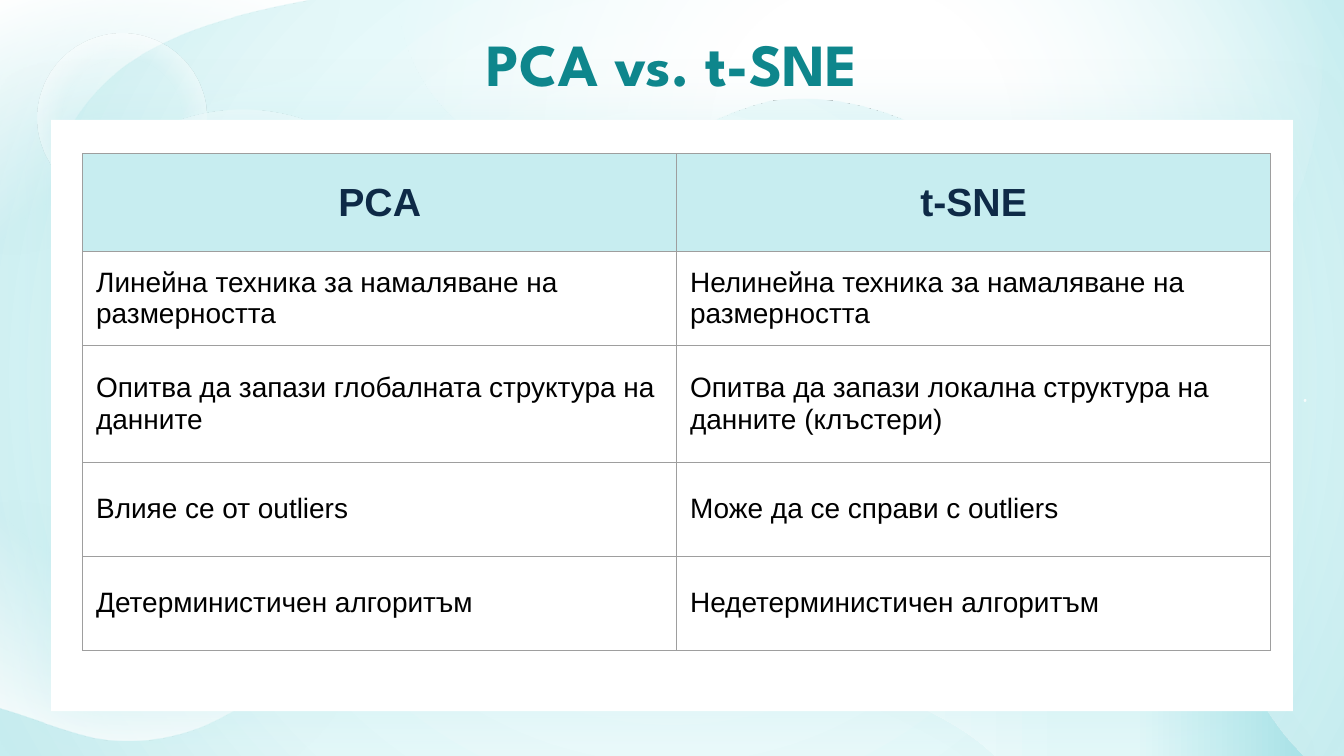
"""Build a slide comparing PCA and t-SNE in a two-column table."""
import pptx
import pptx.dml.color
import pptx.enum.shapes
import pptx.enum.text
import pptx.oxml
import pptx.oxml.ns
import pptx.util

Pt = pptx.util.Pt
ALIGN = pptx.enum.text.PP_ALIGN
SHAPES = pptx.enum.shapes.MSO_SHAPE
NAMESPACE = pptx.oxml.ns.nsdecls("a")

TITLE = "PCA vs. t-SNE"
ROWS = [
    ("PCA", "t-SNE"),
    ("Линейна техника за намаляване на размерността",
     "Нелинейна техника за намаляване на размерността"),
    ("Опитва да запази глобалната структура на данните",
     "Опитва да запази локална структура на данните (клъстери)"),
    ("Влияе се от outliers", "Може да се справи с outliers"),
    ("Детерминистичен алгоритъм", "Недетерминистичен алгоритъм"),
]
ROW_HEIGHTS = [52.2, 50.4, 62.6, 50.4, 50.4]
COLUMN_WIDTH = 318.2
WHITE, PALE, AQUA, DEEP = "FFFFFF", "E4F8F9", "C7EDF0", "AAE3E8"

BACKGROUND_STOPS = [(0, WHITE, 100), (65, PALE, 100), (100, AQUA, 100)]
BLOB_STOPS = [(0, WHITE, 100), (59, PALE, 100), (70, PALE, 100), (100, DEEP, 100)]
GLOW_STOPS = [(0, WHITE, 100), (31, WHITE, 100), (100, WHITE, 0)]
BUBBLE_STOPS = [(0, WHITE, 0), (50, WHITE, 0), (100, WHITE, 100)]

BLOB = [(533, 405),
        (503, 375), (452, 369), (425, 335), (415, 323), (409, 310), (405, 295),
        (397, 276), (397, 255), (404, 235), (416, 200), (459, 171), (501, 170),
        (503, 169), (503, 169), (505, 169), (562, 169), (619, 209), (640, 264),
        (647, 284), (650, 305), (655, 325), (663, 355), (677, 385), (698, 405)]
TOP_WAVE = [(213, 0),
            (215, 24), (225, 46), (242, 62), (259, 78), (284, 88), (308, 88),
            (316, 88), (323, 87), (330, 85), (359, 79), (384, 60), (413, 54),
            (419, 53), (426, 53), (432, 53), (459, 53), (487, 63), (512, 78),
            (542, 95), (569, 117), (600, 132), (613, 138), (628, 143), (643, 143),
            (652, 143), (661, 141), (669, 137), (683, 129), (691, 113), (697, 99),
            (708, 67), (710, 34), (708, 0)]
LEFT_WAVE = [(0, 379),
             (17, 384), (33, 391), (50, 395), (94, 404), (141, 379), (158, 347),
             (163, 339), (165, 330), (165, 322), (165, 287), (136, 251), (110, 228),
             (80, 200), (43, 174), (30, 138), (27, 129), (26, 120), (26, 112),
             (26, 84), (40, 57), (65, 37), (91, 17), (129, 7), (166, 0)]
BUBBLES = [(31, 59, 198), (20.2, 18, 90.7)]


def color(value):
    return pptx.dml.color.RGBColor.from_string(value)


def set_gradient(owner, element, stops, radial=True):
    owner.fill.solid()
    owner.fill.fore_color.rgb = color(WHITE)
    solid = element.xpath(".//a:solidFill")[0]
    stop_xml = "".join(
        f'<a:gs pos="{position * 1000}"><a:srgbClr val="{value}">'
        f'<a:alpha val="{opacity * 1000}"/></a:srgbClr></a:gs>'
        for position, value, opacity in stops)
    direction = ('<a:path path="circle"><a:fillToRect l="50000" t="50000" '
                 'r="50000" b="50000"/></a:path>' if radial else '<a:lin ang="0"/>')
    solid.getparent().replace(solid, pptx.oxml.parse_xml(
        f'<a:gradFill {NAMESPACE} rotWithShape="1"><a:gsLst>{stop_xml}</a:gsLst>'
        f'{direction}</a:gradFill>'))


def add_shadow(shape, value, opacity, blur, distance=0, angle=0):
    effects = shape._element.spPr.find(pptx.oxml.ns.qn("a:effectLst"))
    effects.append(pptx.oxml.parse_xml(
        f'<a:outerShdw {NAMESPACE} blurRad="{Pt(blur)}" dist="{Pt(distance)}" '
        f'dir="{angle * 60000}" algn="bl" rotWithShape="0"><a:srgbClr val="{value}">'
        f'<a:alpha val="{opacity * 1000}"/></a:srgbClr></a:outerShdw>'))


def bend_segments(shape, curve_count):
    lines = shape._element.xpath(".//a:lnTo")
    for start in range(0, curve_count * 3, 3):
        curve = pptx.oxml.parse_xml(f"<a:cubicBezTo {NAMESPACE}/>")
        lines[start].addprevious(curve)
        for line in lines[start:start + 3]:
            curve.append(line[0])
            line.getparent().remove(line)


def add_wave(slide, nodes, stops, radial=True, ending=()):
    builder = slide.shapes.build_freeform(*map(Pt, nodes[0]))
    builder.add_line_segments([tuple(map(Pt, node)) for node in [*nodes[1:], *ending]])
    shape = builder.convert_to_shape()
    bend_segments(shape, (len(nodes) - 1) // 3)
    finish(shape)
    set_gradient(shape, shape._element, stops, radial)
    return shape


def add_plain(slide, kind, left, top, width, height):
    shape = slide.shapes.add_shape(kind, Pt(left), Pt(top), Pt(width), Pt(height))
    shape.fill.solid()
    shape.fill.fore_color.rgb = color(WHITE)
    finish(shape)
    return shape


def finish(shape):
    shape.shadow.inherit = False
    shape.line.fill.background()


def style_runs(paragraph, font, size, value, bold):
    for run in paragraph.runs:
        run.font.name = font
        run.font.size = Pt(size)
        run.font.bold = bold
        run.font.color.rgb = color(value)


def set_margins(box):
    box.margin_left = box.margin_right = box.margin_top = box.margin_bottom = Pt(7.2)
    box.vertical_anchor = pptx.enum.text.MSO_ANCHOR.MIDDLE


def add_borders(cell):
    properties = cell._tc.get_or_add_tcPr()
    for index, side in enumerate("LRTB"):
        properties.insert(index, pptx.oxml.parse_xml(
            f'<a:ln{side} {NAMESPACE} w="{Pt(0.75)}"><a:solidFill>'
            f'<a:srgbClr val="9E9E9E"/></a:solidFill></a:ln{side}>'))


def add_decoration(slide):
    set_gradient(slide.background, slide._element, BACKGROUND_STOPS)
    blob = add_wave(slide, BLOB, BLOB_STOPS, radial=False)
    add_shadow(blob, AQUA, 5, 14.6)
    add_wave(slide, TOP_WAVE, GLOW_STOPS)
    add_plain(slide, SHAPES.OVAL, 698.4, 213.8, 1.5, 1.5)
    left_wave = add_wave(slide, LEFT_WAVE, BUBBLE_STOPS, ending=[(0, 0)])
    add_shadow(left_wave, AQUA, 22, 45, 0.8, 90)
    for left, top, size in BUBBLES:
        bubble = add_plain(slide, SHAPES.OVAL, left, top, size, size)
        set_gradient(bubble, bubble._element, BUBBLE_STOPS)


def add_panel(slide):
    panel = add_plain(slide, SHAPES.RECTANGLE, 27.4, 64.2, 665.3, 316.8)
    add_shadow(panel, DEEP, 30, 36)


def add_title(slide):
    title = slide.shapes.title
    slide.shapes._spTree.append(title._element)
    title.left, title.top, title.width, title.height = map(Pt, (44.6, 13.7, 631.4, 39.6))
    title.text_frame.text = TITLE
    title.text_frame.auto_size = pptx.enum.text.MSO_AUTO_SIZE.NONE
    set_margins(title.text_frame)
    paragraph = title.text_frame.paragraphs[0]
    paragraph.alignment = ALIGN.CENTER
    style_runs(paragraph, "League Spartan", 32, "0E868C", True)


def add_comparison(slide):
    table = slide.shapes.add_table(
        len(ROWS), 2, Pt(44.3), Pt(82.4), Pt(2 * COLUMN_WIDTH), Pt(sum(ROW_HEIGHTS))).table
    table.first_row = table.horz_banding = False
    for column in table.columns:
        column.width = Pt(COLUMN_WIDTH)
    for row_index, texts in enumerate(ROWS):
        table.rows[row_index].height = Pt(ROW_HEIGHTS[row_index])
        header = row_index == 0
        for column_index, text in enumerate(texts):
            cell = table.cell(row_index, column_index)
            cell.text_frame.text = text
            set_margins(cell)
            if header:
                cell.fill.solid()
                cell.fill.fore_color.rgb = color(AQUA)
            else:
                cell.fill.background()
            add_borders(cell)
            paragraph = cell.text_frame.paragraphs[0]
            paragraph.alignment = ALIGN.CENTER if header else ALIGN.LEFT
            style_runs(paragraph, "Arial", 21 if header else 15,
                       "0E2A47" if header else "000000", header)


def main():
    presentation = pptx.Presentation()
    presentation.slide_width, presentation.slide_height = Pt(720), Pt(405)
    slide = presentation.slides.add_slide(presentation.slide_layouts[5])
    add_decoration(slide)
    add_panel(slide)
    add_title(slide)
    add_comparison(slide)
    presentation.save("out.pptx")


if __name__ == "__main__":
    main()
